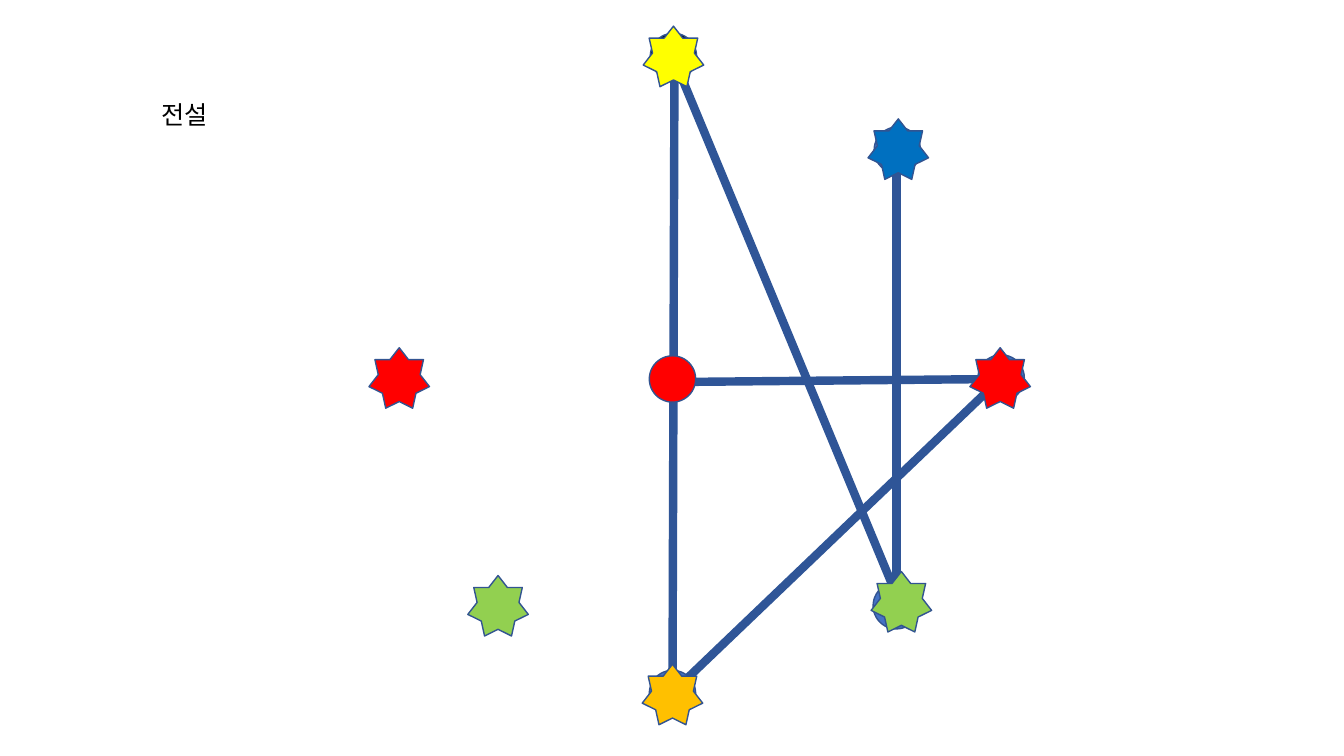
"""Build a slide of coloured stars joined by thick blue lines."""
from lxml.etree import SubElement
from pptx import Presentation
from pptx.dml.color import RGBColor
from pptx.enum.shapes import MSO_CONNECTOR, MSO_SHAPE
from pptx.enum.text import MSO_AUTO_SIZE
from pptx.oxml.ns import qn
from pptx.util import Pt

PX = 9144
FONT = "Noto Sans CJK KR"
DOT, STAR = 46, 60


def tint(part, color):
    part.solid()
    part.fore_color.rgb = RGBColor.from_string(color)


deck = Presentation()
deck.slide_width, deck.slide_height = 1333 * PX, 750 * PX
slide = deck.slides.add_slide(deck.slide_layouts[6])
shapes = slide.shapes

links = [
    ("link", 993, 375, 669, 685),
    ("link", 667, 685, 669, 55),
    ("link", 670, 379, 993, 376),
    ("link", 667, 55, 894, 602),
]
dots = [
    ("dot", 970, 352, "4472C4"),
    ("dot", 644, 665, "4472C4"),
    ("dot", 866, 578, "4472C4"),
    ("dot", 867, 126, "4472C4"),
    ("dot", 645, 33, "000000"),
    ("dot", 644, 353, "FF0000"),
]
stars = [
    ("star", 962, 345, "FF0000"),
    ("star", 366, 345, "FF0000"),
    ("star", 637, 659, "FFC000"),
    ("star", 638, 26, "FFFF00"),
    ("star", 864, 567, "92D050"),
    ("star", 464, 571, "92D050"),
    ("star", 861, 118, "0070C0"),
]
kinds = {
    "dot": (MSO_SHAPE.OVAL, DOT),
    "star": (MSO_SHAPE.STAR_7_POINT, STAR),
}

for kind, *spot in links + dots + [("link", 889, 602, 889, 155)] + stars:
    if kind == "link":
        ends = [v * PX for v in spot]
        link = shapes.add_connector(MSO_CONNECTOR.STRAIGHT, *ends)
        tint(link.line.fill, "2F5597")
        link.line.width = Pt(6)
        SubElement(link.element.spPr, qn("a:effectLst"))
    else:
        left, top, color = spot
        form, size = kinds[kind]
        mark = shapes.add_shape(form, left * PX, top * PX, size * PX, size * PX)
        mark.shadow.inherit = False
        tint(mark.fill, color)
        tint(mark.line.fill, "325491")
        mark.line.width = Pt(1)

label = shapes.add_textbox(150 * PX, 94 * PX, 71 * PX, 40 * PX)
frame = label.text_frame
for name, value in {"word_wrap": False, "auto_size": MSO_AUTO_SIZE.SHAPE_TO_FIT_TEXT}.items():
    setattr(frame, name, value)
run = frame.paragraphs[0].add_run()
run.text = "전설"
for name, value in {"size": Pt(18), "name": FONT}.items():
    setattr(run.font, name, value)
tint(run.font.fill, "000000")
SubElement(run.font._element, qn("a:ea"), typeface=FONT)

deck.save("out.pptx")
